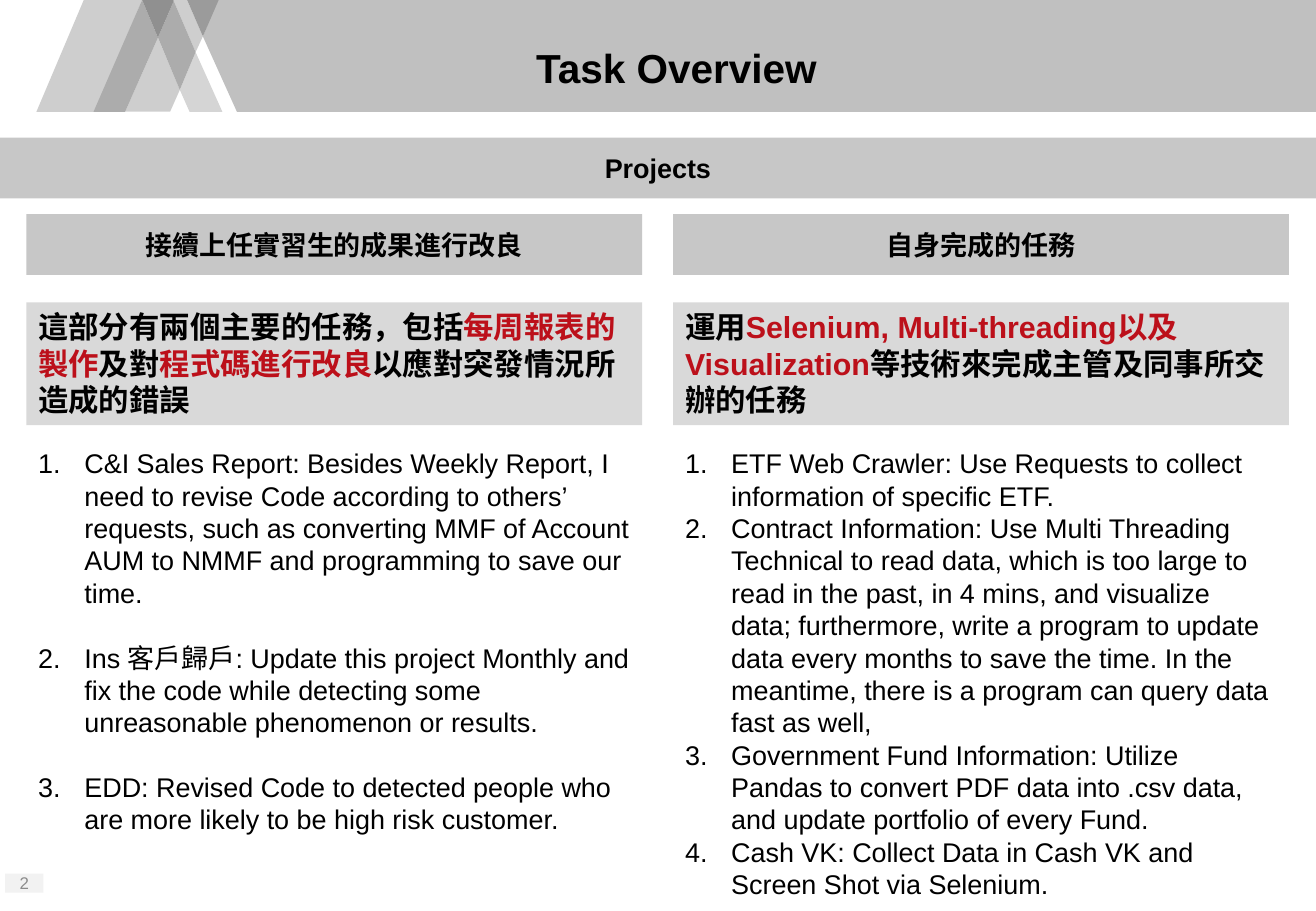
"""Build the Task Overview slide with two columns of internship projects."""
import pptx
import pptx.util
import pptx.dml.color
import pptx.enum.shapes
import pptx.enum.text
import lxml.etree

COLORS = {
    "black": "000000", "red": "BC101A", "number": "8C8C8C",
    "tag": "F2F2F2", "band": "C7C7C7", "summary": "D9D9D9",
    "header": "C0C0C0", "pale": "D5D5D5", "light": "CECECE",
    "middle": "ACACAC", "dark": "9B9B9B", "darkest": "909090",
}
CENTER = pptx.enum.text.PP_ALIGN.CENTER
LEFT = pptx.enum.text.PP_ALIGN.LEFT
MIDDLE = pptx.enum.text.MSO_ANCHOR.MIDDLE
TOP = pptx.enum.text.MSO_ANCHOR.TOP

deck = pptx.Presentation()
deck.slide_width = pptx.util.Inches(10.83)
deck.slide_height = pptx.util.Inches(7.5)
page = deck.slides.add_slide(deck.slide_layouts[6])


def paint(shape, color):
    shape.shadow.inherit = False
    shape.line.fill.background()
    shape.fill.solid()
    shape.fill.fore_color.rgb = pptx.dml.color.RGBColor.from_string(COLORS[color])


def add_box(area, paragraphs, size, fill=None, bold=False, align=LEFT, anchor=TOP, inset=0.1):
    """Place text in an area given in percent of the slide's width and height."""
    left, top, width, height = (
        int(share * side / 100)
        for share, side in zip(area, (deck.slide_width, deck.slide_height) * 2)
    )
    if fill:
        box = page.shapes.add_shape(
            pptx.enum.shapes.MSO_SHAPE.RECTANGLE, left, top, width, height)
        paint(box, fill)
    else:
        box = page.shapes.add_textbox(left, top, width, height)
    frame = box.text_frame
    frame.word_wrap = True
    frame.vertical_anchor = anchor
    frame.margin_left = frame.margin_right = pptx.util.Inches(inset)
    frame.margin_top = frame.margin_bottom = pptx.util.Inches(min(inset, 0.05))
    for index, spans in enumerate(paragraphs):
        para = frame.paragraphs[0] if index == 0 else frame.add_paragraph()
        para.alignment = align
        para.line_spacing = pptx.util.Pt(size * 1.2)
        for text, color in spans:
            span = para.add_run()
            span.text = text
            span.font.name = "Arial"
            span.font.size = pptx.util.Pt(size)
            span.font.bold = bold
            span.font.color.rgb = pptx.dml.color.RGBColor.from_string(COLORS[color])
    return box


# Corner points in hundredths of an inch
ribbons = [
    ("header", [(167, 30), (195, 92), (1083, 92), (1083, 0), (179, 0)]),
    ("pale", [(161, 43), (148, 74), (156, 92), (183, 92)]),
    ("light", [(154, 0), (143, 0), (143, 1), (161, 43), (167, 30)]),
    ("light", [(130, 31), (103, 92), (140, 92), (148, 74)]),
    ("light", [(117, 0), (69, 0), (30, 92), (78, 92)]),
    ("dark", [(180, 0), (154, 0), (167, 30)]),
    ("middle", [(143, 1), (130, 31), (148, 74), (161, 43)]),
    ("middle", [(117, 0), (77, 92), (103, 92), (130, 31)]),
    ("darkest", [(143, 0), (117, 0), (130, 31), (143, 1)]),
]
for color, corners in ribbons:
    outline = page.shapes.build_freeform(*corners[0], scale=pptx.util.Inches(0.01))
    outline.add_line_segments(corners[1:], close=True)
    paint(outline.convert_to_shape(), color)

add_box((0.4, 95.9, 2.9, 2.1), [[("2", "number")]], 10, "tag",
        align=CENTER, anchor=MIDDLE, inset=0.04)
add_box((0, 15.1, 100, 6.67), [[("Projects", "black")]], 16, "band",
        True, CENTER, MIDDLE, 0.04)
add_box((19.4, 2.1, 64, 10.5), [[("Task Overview", "black")]], 24, None,
        True, CENTER, MIDDLE, 0)

columns = [
    {
        "left": 2,
        "heading": "接續上任實習生的成果進行改良",
        "summary": [
            ("這部分有兩個主要的任務，包括", "black"),
            ("每周報表的製作", "red"),
            ("及對", "black"),
            ("程式碼進行改良", "red"),
            ("以應對突發情況所造成的錯誤", "black"),
        ],
        "gap": 19.2,
        "tasks": [
            "C&I Sales Report: Besides Weekly Report, I need to revise Code according to "
            "others’ requests, such as converting MMF of Account AUM to NMMF and "
            "programming to save our time.",
            "Ins 客戶歸戶: Update this project Monthly and fix the code while detecting "
            "some unreasonable phenomenon or results.",
            "EDD: Revised Code to detected people who are more likely to be high risk customer.",
        ],
    },
    {
        "left": 51.15,
        "heading": "自身完成的任務",
        "summary": [
            ("運用", "black"),
            ("Selenium, Multi-threading以及Visualization", "red"),
            ("等技術來完成主管及同事所交辦的任務", "black"),
        ],
        "gap": 0,
        "tasks": [
            "ETF Web Crawler: Use Requests to collect information of specific ETF.",
            "Contract Information: Use Multi Threading Technical to read data, which is too "
            "large to read in the past, in 4 mins, and visualize data; furthermore, write a "
            "program to update data every months to save the time. In the meantime, there is "
            "a program can query data fast as well,",
            "Government Fund Information: Utilize Pandas to convert PDF data into .csv data, "
            "and update portfolio of every Fund.",
            "Cash VK: Collect Data in Cash VK and Screen Shot via Selenium.",
        ],
    },
]
for column in columns:
    left, width = column["left"], 46.8
    add_box((left, 23.5, width, 6.67), [[(column["heading"], "black")]], 16, "band",
            True, CENTER, MIDDLE, 0.04)
    add_box((left, 33.2, width, 13.47), [column["summary"]], 18, "summary", True)
    tasks = add_box((left, 48.4, width, 51.6),
                    [[(task, "black")] for task in column["tasks"]], 16)
    for index, para in enumerate(tasks.text_frame.paragraphs):
        para.space_before = pptx.util.Pt(column["gap"] if index else 0)
        properties = para._p.get_or_add_pPr()
        properties.set("marL", str(pptx.util.Inches(0.38)))
        properties.set("indent", str(pptx.util.Inches(-0.38)))
        lxml.etree.SubElement(
            properties, pptx.oxml.ns.qn("a:buAutoNum"), type="arabicPeriod")

deck.save("out.pptx")
